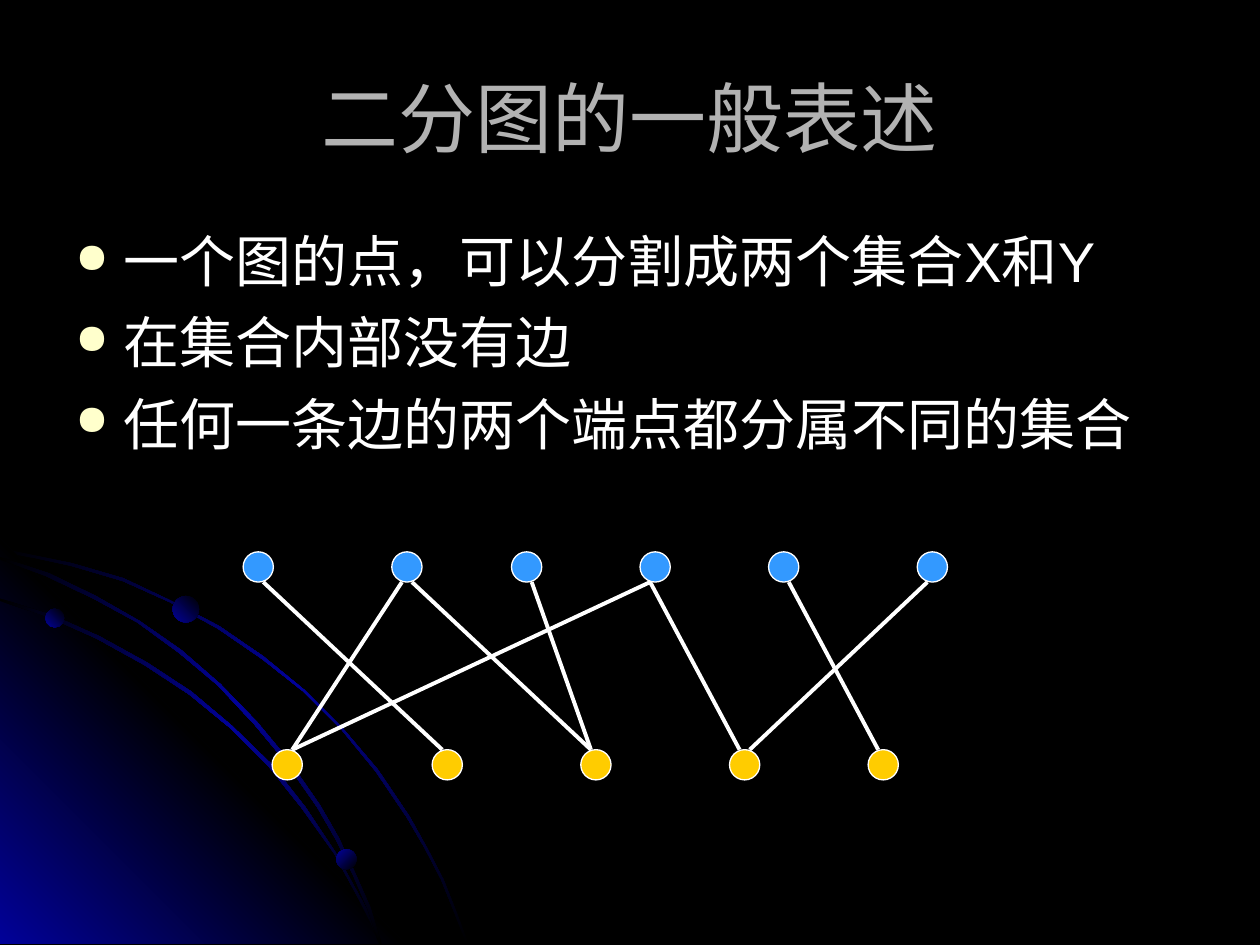
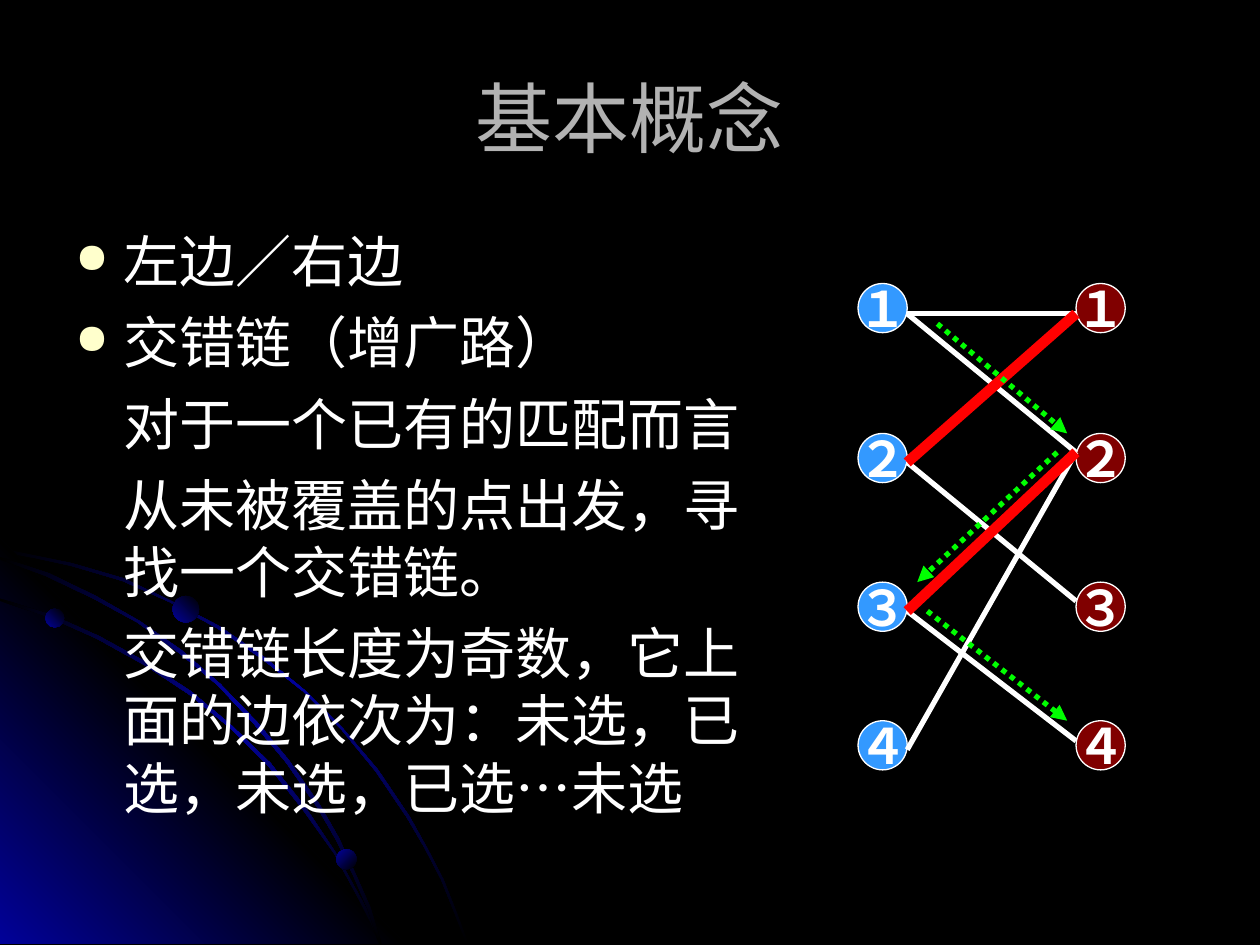
from lxml import etree
from pptx import Presentation
from pptx.dml.color import RGBColor
from pptx.enum.dml import MSO_LINE
from pptx.enum.lang import MSO_LANGUAGE_ID
from pptx.enum.shapes import MSO_CONNECTOR, MSO_SHAPE
from pptx.enum.text import MSO_ANCHOR, PP_ALIGN
from pptx.oxml import parse_xml
from pptx.oxml.ns import nsdecls, qn
from pptx.util import Inches, Pt

COLORS = {
    "black": "000000", "glow": "010199", "title": "B2B2B2", "white": "FFFFFF",
    "bullet": "FFFFCC", "blue": "3399FF", "yellow": "FFCC00", "maroon": "800000",
    "red": "FF0000", "green": "00FF00",
}
RGB = {name: RGBColor.from_string(value) for name, value in COLORS.items()}
BASE = {"name": "Arial", "language_id": MSO_LANGUAGE_ID.SIMPLIFIED_CHINESE}
TITLE = {**BASE, "size": Pt(44)}
BODY = {**BASE, "size": Pt(32)}
NUMBER = {**BASE, "size": Pt(28), "bold": True}

# Corner decoration: outlines in hundredths of an inch
ARC_OUTER = [
    (57, 447), (28, 441), (0, 435), (0, 438), (28, 443), (56, 449), (97, 461),
    (135, 478), (173, 499), (208, 523), (241, 549), (271, 579), (298, 612),
    (323, 649), (337, 673), (350, 698), (360, 723), (370, 749), (372, 749),
    (362, 723), (352, 698), (339, 673), (325, 648), (300, 611), (272, 578),
    (242, 548), (209, 521), (174, 497), (136, 477), (98, 459)]
WEDGE = [(322, 749), (0, 749), (0, 427)]
ARC_INNER = [
    (285, 714), (294, 732), (301, 749), (303, 749), (296, 730), (286, 712),
    (266, 676), (242, 640), (215, 606), (184, 576), (152, 549), (117, 526),
    (79, 505), (41, 488), (0, 475), (0, 477), (39, 490), (77, 507), (115, 528),
    (150, 551), (183, 578), (213, 608), (240, 642), (265, 677)]
ARC_MIDDLE = [
    (0, 442), (0, 444), (36, 457), (74, 475), (109, 494), (142, 518), (173, 544),
    (202, 575), (227, 605), (252, 641), (267, 667), (280, 694), (292, 722),
    (301, 749), (303, 749), (294, 720), (282, 693), (269, 665), (254, 639),
    (229, 603), (204, 573), (175, 543), (144, 516), (111, 493), (76, 473),
    (39, 455)]
ARC_FILL = (["black", "glow", "black"], 225)
OUTLINES = [(ARC_OUTER, *ARC_FILL), (WEDGE, ["glow", "black", "glow"], 135),
            (ARC_INNER, *ARC_FILL), (ARC_MIDDLE, *ARC_FILL)]
BEADS = [(0.36, 4.83, 0.15, 135), (2.67, 6.74, 0.16, 225), (1.37, 4.73, 0.21, 135)]

# Title, body width, paragraphs as (text, has bullet)
CONTENT = [
    ("二分图的一般表述", 9, [
        ("一个图的点，可以分割成两个集合X和Y", True),
        ("在集合内部没有边", True),
        ("任何一条边的两个端点都分属不同的集合", True)]),
    ("基本概念", 5.6, [
        ("左边／右边", True),
        ("交错链（增广路）", True),
        ("对于一个已有的匹配而言", False),
        ("从未被覆盖的点出发，寻找一个交错链。", False),
        ("交错链长度为奇数，它上面的边依次为：未选，已选，未选，已选…未选", False)]),
]


def write(p, text, fmt, color):
    r = p.add_run()
    r.text = text
    for key, value in fmt.items():
        setattr(r.font, key, value)
    r.font.color.rgb = RGB[color]


def add_line(s, start, end, color, width, arrow=False):
    c = s.shapes.add_connector(MSO_CONNECTOR.STRAIGHT,
                               *[Inches(v) for v in (*start, *end)])
    c.line.color.rgb = RGB[color]
    c.line.width = Pt(width)
    spPr = c._element.spPr
    if arrow:
        c.line.dash_style = MSO_LINE.ROUND_DOT
        etree.SubElement(spPr.find(qn("a:ln")), qn("a:tailEnd"), type="triangle")
    etree.SubElement(spPr, qn("a:effectLst"))


prs = Presentation()
prs.slide_width, prs.slide_height = Inches(10), Inches(7.5)
bg = prs.slide_master.background.fill
bg.solid()
bg.fore_color.rgb = RGB["black"]

for title, body_width, paragraphs in CONTENT:
    s = prs.slides.add_slide(prs.slide_layouts[6])

    # Glowing arcs and beads
    decor = []
    for points, stops, angle in OUTLINES:
        fb = s.shapes.build_freeform(*points[0], scale=Inches(0.01))
        fb.add_line_segments(points[1:], close=True)
        decor.append((fb.convert_to_shape(), stops, angle))
    for x, y, d, angle in BEADS:
        sp = s.shapes.add_shape(MSO_SHAPE.OVAL, Inches(x), Inches(y), Inches(d), Inches(d))
        decor.append((sp, ["black", "glow"], angle))
    for sp, stops, angle in decor:
        sp.line.fill.background()
        sp.shadow.inherit = False
        gs = "".join(
            f'<a:gs pos="{100000 * i // (len(stops) - 1)}">'
            f'<a:srgbClr val="{COLORS[stop]}"/></a:gs>' for i, stop in enumerate(stops))
        sp._element.spPr.insert(2, parse_xml(
            f'<a:gradFill {nsdecls("a")} rotWithShape="1"><a:gsLst>{gs}</a:gsLst>'
            f'<a:lin ang="{angle * 60000}" scaled="0"/></a:gradFill>'))

    # Title
    tf = s.shapes.add_textbox(Inches(0.5), Inches(0.3), Inches(9), Inches(1.25)).text_frame
    tf.word_wrap = True
    tf.vertical_anchor = MSO_ANCHOR.MIDDLE
    tf.paragraphs[0].alignment = PP_ALIGN.CENTER
    write(tf.paragraphs[0], title, TITLE, "title")

    # Body
    tf = s.shapes.add_textbox(Inches(0.5), Inches(1.75), Inches(body_width),
                              Inches(4.95)).text_frame
    tf.word_wrap = True
    for i, (text, has_bullet) in enumerate(paragraphs):
        p = tf.add_paragraph() if i else tf.paragraphs[0]
        p.space_before = Pt(8)
        write(p, text, BODY, "white")
        pPr = p._p.get_or_add_pPr()
        pPr.set("marL", str(Inches(0.38)))
        if has_bullet:
            pPr.set("indent", str(-Inches(0.38)))
            color = etree.SubElement(pPr, qn("a:buClr"))
            etree.SubElement(color, qn("a:srgbClr"), val=COLORS["bullet"])
            etree.SubElement(pPr, qn("a:buSzPct"), val="75000")
            etree.SubElement(pPr, qn("a:buChar"), char="●")

bipartite, concepts = prs.slides

# Nodes of both graphs: slide, left, top, diameter, colour, label
X_LEFTS, X_TOP = [1.93, 3.11, 4.06, 5.08, 6.1, 7.28], 4.38
Y_LEFTS, Y_TOP = [2.16, 3.43, 4.61, 5.79, 6.89], 5.95
ROW_TOPS = [2.25, 3.44, 4.62, 5.72]
nodes = [(bipartite, x, X_TOP, 0.24, "blue", "") for x in X_LEFTS]
nodes += [(bipartite, x, Y_TOP, 0.24, "yellow", "") for x in Y_LEFTS]
for x, color in [(6.81, "blue"), (8.54, "maroon")]:
    nodes += [(concepts, x, y, 0.39, color, label) for y, label in zip(ROW_TOPS, "１２３４")]

for s, x, y, d, color, label in nodes:
    sp = s.shapes.add_shape(MSO_SHAPE.OVAL, Inches(x), Inches(y), Inches(d), Inches(d))
    sp.fill.solid()
    sp.fill.fore_color.rgb = RGB[color]
    sp.line.color.rgb = RGB["white"]
    sp.line.width = Pt(0.75)
    sp.shadow.inherit = False
    if label:
        tf = sp.text_frame
        tf.word_wrap = False
        tf.vertical_anchor = MSO_ANCHOR.MIDDLE
        tf.paragraphs[0].alignment = PP_ALIGN.CENTER
        first = label == "１" and color == "blue"
        write(tf.paragraphs[0], label, {**NUMBER, "name": "Lato" if first else "Arial"}, "white")

# Bipartite edges: X node, offset of the edge on it, Y node
for i, dx, j in [(0, 0.16, 1), (1, 0.16, 2), (3, 0.08, 0), (3, 0.08, 3),
                 (4, 0.16, 4), (5, 0.08, 3), (2, 0.16, 2), (1, 0.08, 0)]:
    dy = 0.16 if X_LEFTS[i] > Y_LEFTS[j] else 0.08
    add_line(bipartite, (X_LEFTS[i] + dx, X_TOP + 0.24), (Y_LEFTS[j] + dy, Y_TOP), "white", 2.25)

# Candidate edges in white, matched edges in red: left node, right node
LEFT_PORTS = [(7.2, y) for y in (2.49, 3.67, 4.85, 5.95)]
RIGHT_PORTS = [(8.54, y) for y in (2.49, 3.59, 4.77, 5.88)]
matched = [(3, 2), (2, 1)]
candidates = [(1, 2), (2, 3), (2, 1), (3, 4), (1, 1), (3, 2), (4, 2)]
for pairs, color, width in [(candidates, "white", 3), (matched, "red", 6)]:
    for left, right in pairs:
        add_line(concepts, LEFT_PORTS[left - 1], RIGHT_PORTS[right - 1], color, width)

# Augmenting path
for start, end in [((7.44, 2.57), (8.47, 3.44)), ((8.39, 3.59), (7.28, 4.62)),
                   ((7.36, 4.85), (8.47, 5.72))]:
    add_line(concepts, start, end, "green", 3, arrow=True)

prs.save("out.pptx")
